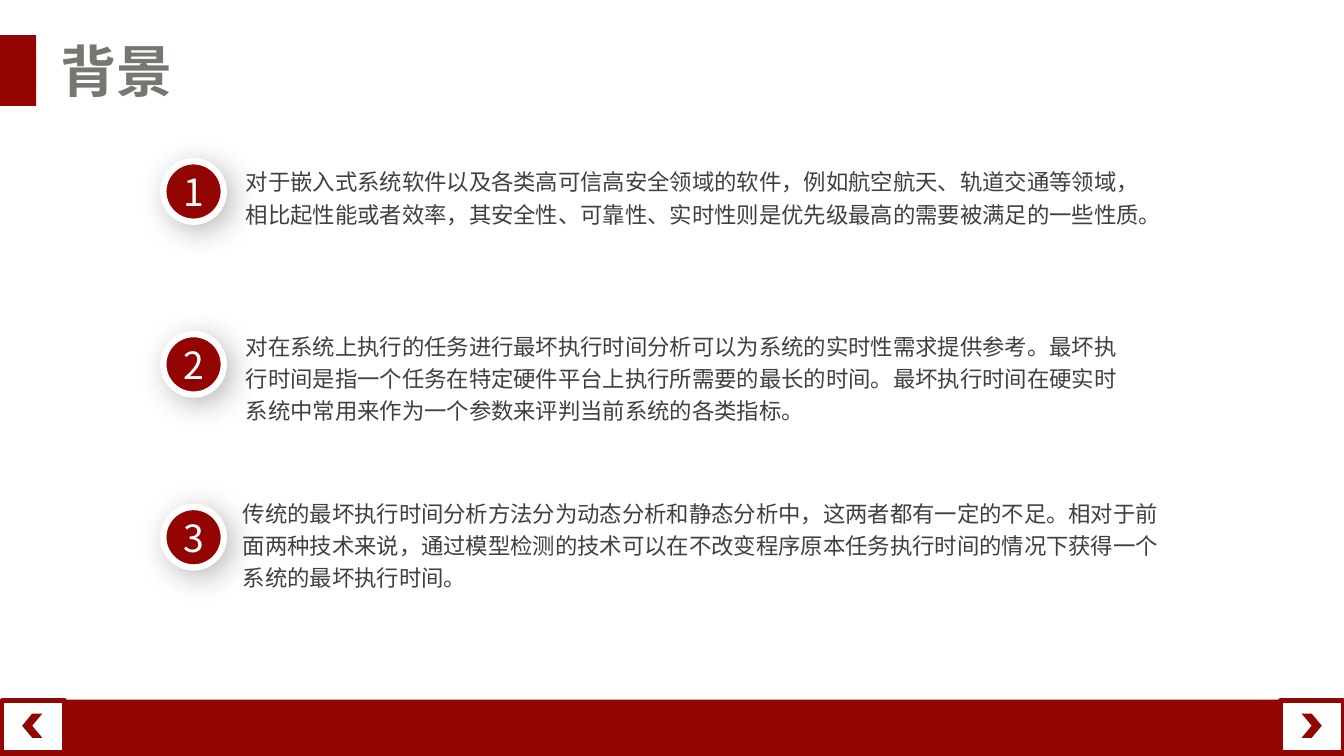
from dataclasses import dataclass

from lxml import etree
from pptx import Presentation
from pptx import util as u
from pptx.dml.color import RGBColor
from pptx.enum import shapes, text
from pptx.oxml import ns


@dataclass(frozen=True)
class Theme:
    font: str = "Noto Sans CJK SC"
    red: str = "930502"
    white: str = "FFFFFF"
    body: str = "404040"
    title: str = "777671"
    shadow: str = "000000"
    title_size: float = 40
    number_size: float = 26.7
    body_size: float = 16


class SlideBuilder:
    """Holds the theme and the current slide."""

    def __init__(self, page, theme):
        self.page = page
        self.theme = theme

    def shape(self, kind, left, top, width, height, fill, line=None, weight=0):
        shape = self.page.shapes.add_shape(
            kind, *(u.Inches(value) for value in (left, top, width, height)))
        shape.shadow.inherit = False
        shape.fill.solid()
        shape.fill.fore_color.rgb = RGBColor.from_string(fill)
        if line:
            shape.line.color.rgb = RGBColor.from_string(line)
            shape.line.width = u.Pt(weight)
        else:
            shape.line.fill.background()
        return shape

    def label(self, words, left, top, width, height, size, color, bold=False,
              frame_format=None, para_format=None):
        box = self.page.shapes.add_textbox(
            *(u.Inches(value) for value in (left, top, width, height)))
        frame = box.text_frame
        for name, value in {"word_wrap": True, **(frame_format or {})}.items():
            setattr(frame, name, value)
        para = frame.paragraphs[0]
        for name, value in (para_format or {}).items():
            setattr(para, name, value)
        span = para.add_run()
        span.text = words
        for name, value in {"name": self.theme.font, "size": u.Pt(size), "bold": bold}.items():
            setattr(span.font, name, value)
        span.font.color.rgb = RGBColor.from_string(color)
        # East Asian glyphs take their own font entry
        east_asian = etree.SubElement(span.font._element, ns.qn("a:ea"))
        east_asian.set("typeface", self.theme.font)
        return box

    def cast_shadow(self, shape, blur, distance, angle, opacity):
        effects = shape._element.spPr.find(ns.qn("a:effectLst"))
        shadow = etree.SubElement(
            effects, ns.qn("a:outerShdw"), blurRad=str(u.Pt(blur)), dist=str(u.Pt(distance)),
            dir=str(angle * 60000), algn="ctr", rotWithShape="0")
        color = etree.SubElement(shadow, ns.qn("a:srgbClr"), val=self.theme.shadow)
        etree.SubElement(color, ns.qn("a:alpha"), val=str(opacity * 1000))

    def badge(self, number, top):
        theme = self.theme
        circle = self.shape(shapes.MSO_SHAPE.OVAL, 1.62, top, 0.6, 0.6,
                            theme.red, theme.white, 4.5)
        self.cast_shadow(circle, blur=22, distance=6, angle=45, opacity=28)
        self.label(str(number), 1.71, top + 0.03, 0.42, 0.55, theme.number_size, theme.white,
                   frame_format={"word_wrap": False, "vertical_anchor": text.MSO_ANCHOR.MIDDLE},
                   para_format={"alignment": text.PP_ALIGN.CENTER})

    def nav_button(self, left, arrow_left, flipped):
        theme = self.theme
        self.shape(shapes.MSO_SHAPE.RECTANGLE, left, 6.95, 0.62, 0.51,
                   theme.white, theme.red, 3)
        arrow = self.shape(shapes.MSO_SHAPE.CHEVRON, arrow_left, 7.08, 0.2, 0.24, theme.red)
        if flipped:
            arrow._element.spPr.xfrm.set("flipH", "1")


# Number, left, top, width, height and wording of each point
POINTS = [
    (2.34, 1.57, 9.13, 0.72,
     "对于嵌入式系统软件以及各类高可信高安全领域的软件，例如航空航天、轨道交通等领域，"
     "相比起性能或者效率，其安全性、可靠性、实时性则是优先级最高的需要被满足的一些性质。"),
    (2.34, 3.2, 9, 1.04,
     "对在系统上执行的任务进行最坏执行时间分析可以为系统的实时性需求提供参考。最坏执"
     "行时间是指一个任务在特定硬件平台上执行所需要的最长的时间。最坏执行时间在硬实时"
     "系统中常用来作为一个参数来评判当前系统的各类指标。"),
    (2.31, 4.86, 9.37, 1.04,
     "传统的最坏执行时间分析方法分为动态分析和静态分析中，这两者都有一定的不足。相对于前"
     "面两种技术来说，通过模型检测的技术可以在不改变程序原本任务执行时间的情况下获得一个"
     "系统的最坏执行时间。"),
]


def main():
    deck = Presentation()
    deck.slide_width, deck.slide_height = u.Inches(13.33), u.Inches(7.5)
    theme = Theme()
    builder = SlideBuilder(deck.slides.add_slide(deck.slide_layouts[6]), theme)

    # Title with its red marker
    builder.shape(shapes.MSO_SHAPE.RECTANGLE, 0, 0.35, 0.36, 0.7, theme.red)
    builder.label("背景", 0.5, 0.31, 4.54, 0.77, theme.title_size, theme.title, bold=True)

    # Numbered points
    for index, (left, top, width, height, words) in enumerate(POINTS):
        builder.badge(index + 1, 1.6 + 1.715 * index)
        builder.label(words, left, top, width, height, theme.body_size, theme.body,
                      para_format={"line_spacing": 1.2})

    # Footer bar with back and forward buttons
    builder.shape(shapes.MSO_SHAPE.RECTANGLE, 0, 6.94, 13.33, 0.56, theme.red)
    builder.nav_button(0.02, 0.22, flipped=True)
    builder.nav_button(12.7, 12.91, flipped=False)

    deck.save("out.pptx")


if __name__ == "__main__":
    main()
